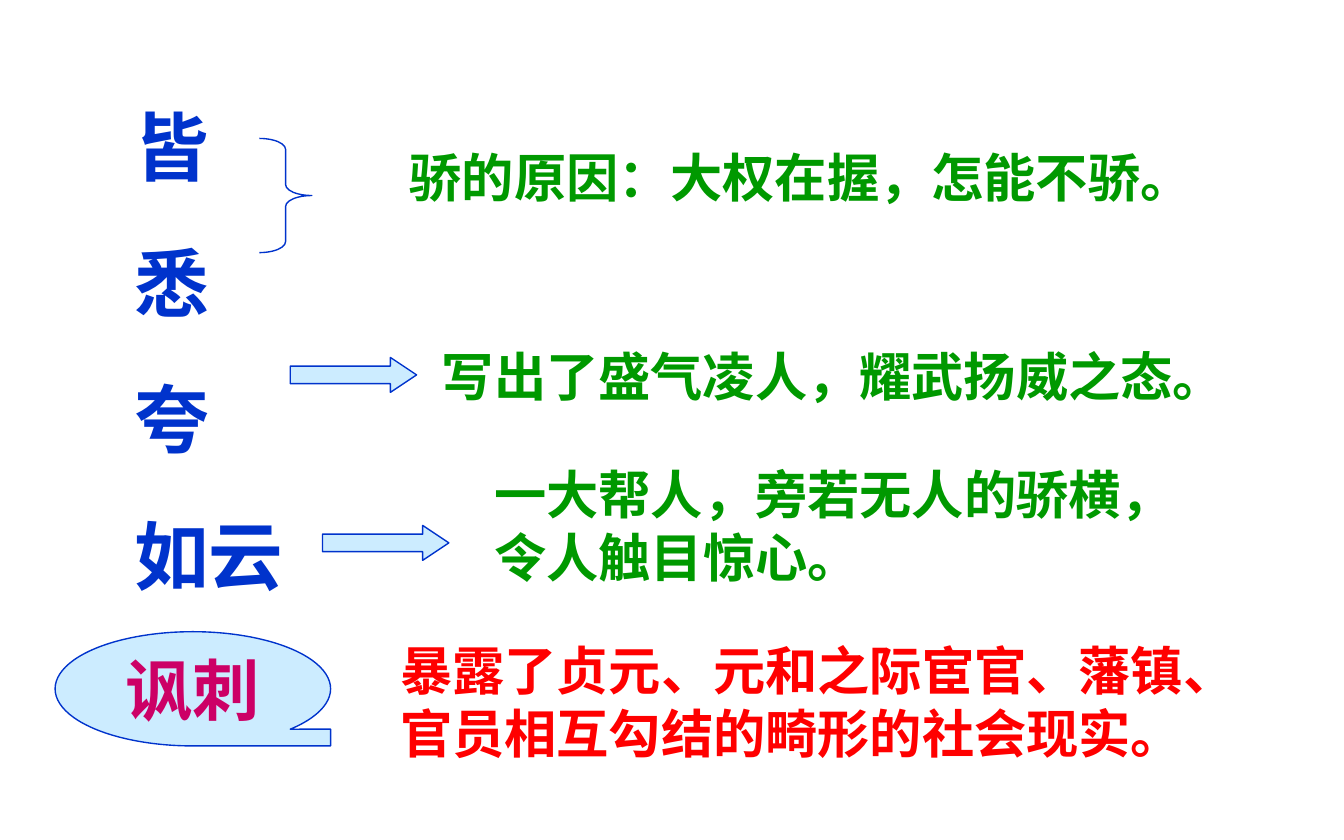
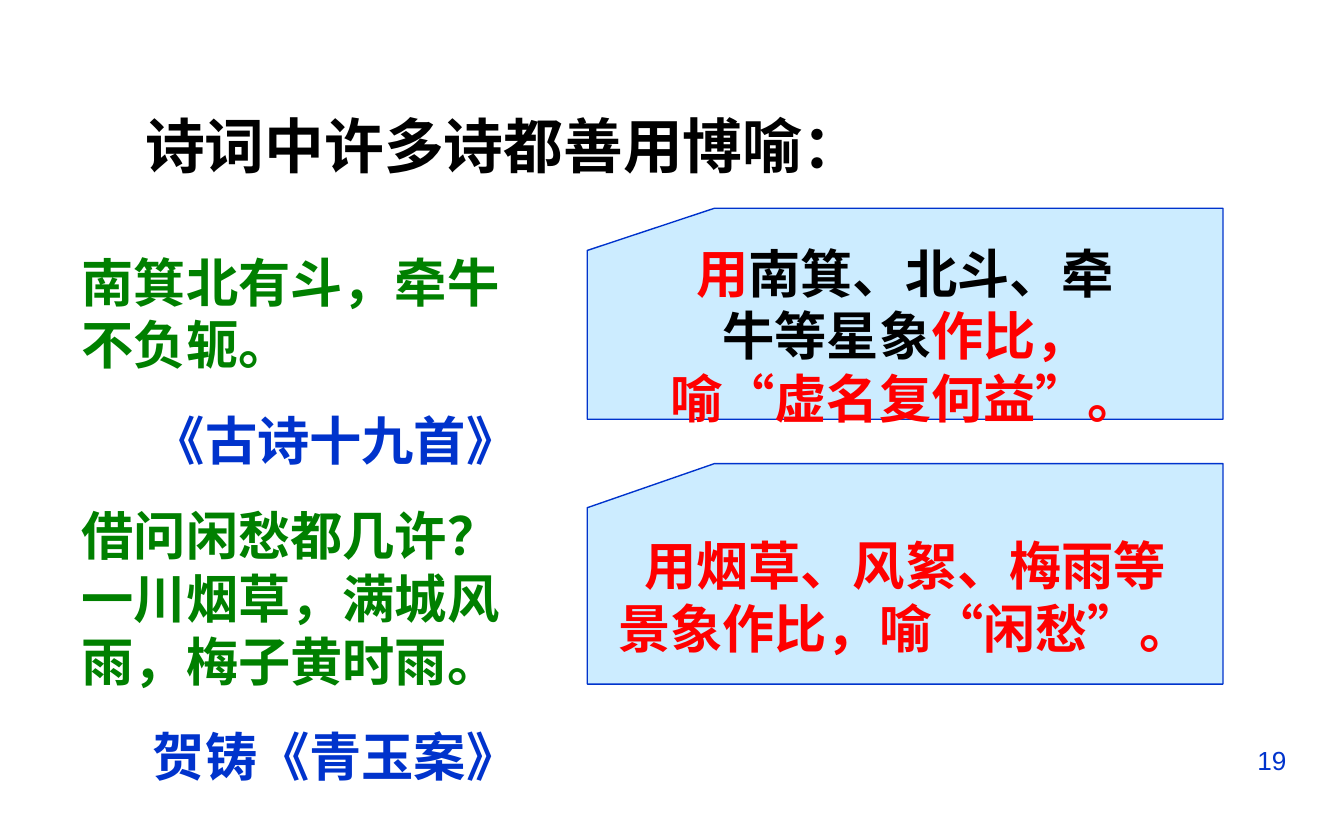
from dataclasses import dataclass

from pptx import Presentation
from pptx import util as u
from pptx.dml import color
from pptx.enum import shapes, text

KIND = shapes.MSO_SHAPE
ALIGN = text.PP_ALIGN
COLS, ROWS = 100, 62.5
WIDE, HIGH = u.Inches(10), u.Inches(6.25)


@dataclass(frozen=True)
class Theme:
    font: str = "Arial"
    blue: str = "0033CC"
    sky: str = "CCECFF"
    green: str = "009900"
    moss: str = "008000"
    red: str = "FF0000"
    pink: str = "CC0066"
    black: str = "000000"
    tiny: int = 14
    body: int = 28
    head: int = 32
    mark: int = 36
    word: int = 40
    line: float = 0.75
    gap: float = 0.625  # space before a paragraph, as a share of its size


T = Theme()


# Shared helpers: a box is (column, row, columns wide, rows high)
def put(obj, **vals):
    for key, val in vals.items():
        setattr(obj, key, val)


def part(box, x, y, w, h):
    return box[0] + x, box[1] + y, w, h


def emu(box):
    x, y, w, h = box
    return (int(WIDE * x / COLS), int(HIGH * y / ROWS),
            int(WIDE * w / COLS), int(HIGH * h / ROWS))


def rgb(code):
    return color.RGBColor.from_string(code)


def write(frame, paras, size, bold=True, gap=0, align=ALIGN.LEFT, **form):
    """Each paragraph is a list of (words, colour) runs."""
    put(frame, **form)
    for i, runs in enumerate(paras):
        para = frame.paragraphs[0] if i == 0 else frame.add_paragraph()
        put(para, alignment=align, space_before=u.Pt(size * gap if i else 0))
        for words, tint in runs:
            run = para.add_run()
            run.text = words
            put(run.font, name=T.font, size=u.Pt(size), bold=bold)
            run.font.color.rgb = rgb(tint)


def label(slide, box, paras, size=T.body, **form):
    frame = slide.shapes.add_textbox(*emu(box)).text_frame
    write(frame, paras, size, word_wrap=True, **form)
    return frame


def shape(slide, kind, box, fill=T.sky, adj=()):
    item = slide.shapes.add_shape(kind, *emu(box))
    item.shadow.inherit = False
    if fill:
        item.fill.solid()
        item.fill.fore_color.rgb = rgb(fill)
    else:
        item.fill.background()
    item.line.color.rgb = rgb(T.blue)
    item.line.width = u.Pt(T.line)
    for i, val in enumerate(adj):
        item.adjustments[i] = val
    return item


def badge(slide, kind, box, paras, size=T.body):
    write(shape(slide, kind, box).text_frame, paras, size, align=ALIGN.CENTER,
          word_wrap=False, vertical_anchor=text.MSO_ANCHOR.MIDDLE)


# Slide 1: key words and what each one shows
def words(slide, box):
    label(slide, box, [[(w, T.blue)] for w in ("皆", "悉", "夸", "如云")],
          T.word, gap=T.gap)


def notes(slide, box):
    shape(slide, KIND.RIGHT_BRACE, part(box, 0, 0, 3.9, 8.5), None, (0.21, 0.5))
    for x, y in ((2.3, 16.3), (4.7, 28.8)):
        shape(slide, KIND.RIGHT_ARROW, part(box, x, y, 9.4, 2.6), adj=(0.5, 0.75))
    rows = (
        (10.2, 0, 60.6, 5.7, "骄的原因：大权在握，怎能不骄。"),
        (12.6, 14.8, 61.4, 5.7, "写出了盛气凌人，耀武扬威之态。"),
        (16.5, 23.6, 55.9, 10.4, "一大帮人，旁若无人的骄横，令人触目惊心。"),
    )
    for *place, words in rows:
        label(slide, part(box, *place), [[(words, T.green)]])


def satire(slide, box):
    badge(slide, KIND.FLOWCHART_SEQUENTIAL_ACCESS_STORAGE,
          part(box, 0, 0, 20.5, 8.5), [[("讽刺", T.pink)]], T.mark)
    label(slide, part(box, 24.7, 0, 60.6, 10.4),
          [[("暴露了贞元、元和之际宦官、藩镇、官员相互勾结的畸形的社会现实。", T.red)]])


# Slide 2: verses and the images they use
def title(slide, box, words):
    item = slide.shapes.title
    put(item, **dict(zip(("left", "top", "width", "height"), emu(box))))
    write(item.text_frame, [[(words, T.black)]], T.head, word_wrap=True,
          vertical_anchor=text.MSO_ANCHOR.TOP, auto_size=text.MSO_AUTO_SIZE.NONE)


def verses(slide, box):
    frame = label(slide, box, [
        [("南箕北有斗，牵牛不负轭。", T.moss)],
        [("《古诗十九首》", T.blue)],
        [("借问闲愁都几许？一川烟草，满城风雨，梅子黄时雨。", T.moss)],
        [("贺铸《青玉案》", T.blue)],
    ], gap=T.gap)
    for para in frame.paragraphs[1::2]:  # sources are indented
        para._p.get_or_add_pPr().set("marL", str(int(WIDE * 5.3 / COLS)))


def cards(slide, box):
    items = (
        (0, 15.7, [[("用", T.red), ("南箕、北斗、牵", T.black)],
                   [("牛等星象", T.black), ("作比，", T.red)],
                   [("喻“虚名复何益”。", T.red)]]),
        (19, 16.4, [[("用烟草、风絮、梅雨等", T.red)],
                    [("景象作比，喻“闲愁”。", T.red)]]),
    )
    for y, high, paras in items:
        badge(slide, KIND.FLOWCHART_CARD, part(box, 0, y, box[2], high), paras)


def number(slide, box, words):
    label(slide, box, [[(words, T.blue)]], T.tiny, bold=False, align=ALIGN.RIGHT)


def main():
    deck = Presentation()
    put(deck, slide_width=WIDE, slide_height=HIGH)

    first = deck.slides.add_slide(deck.slide_layouts[6])
    words(first, (9, 7, 18.1, 48.2))
    notes(first, (19.3, 10.3, 74, 34))
    satire(first, (4.1, 47, 85.3, 10.4))

    second = deck.slides.add_slide(deck.slide_layouts[5])
    number(second, (71.7, 54.9, 25, 4.3), "19")
    title(second, (9.8, 7.6, 76.4, 6.4), "诗词中许多诗都善用博喻：")
    verses(second, (5.1, 18.1, 36.2, 41))
    cards(second, (43.7, 15.5, 47.3, 35.4))

    deck.save("out.pptx")


if __name__ == "__main__":
    main()
